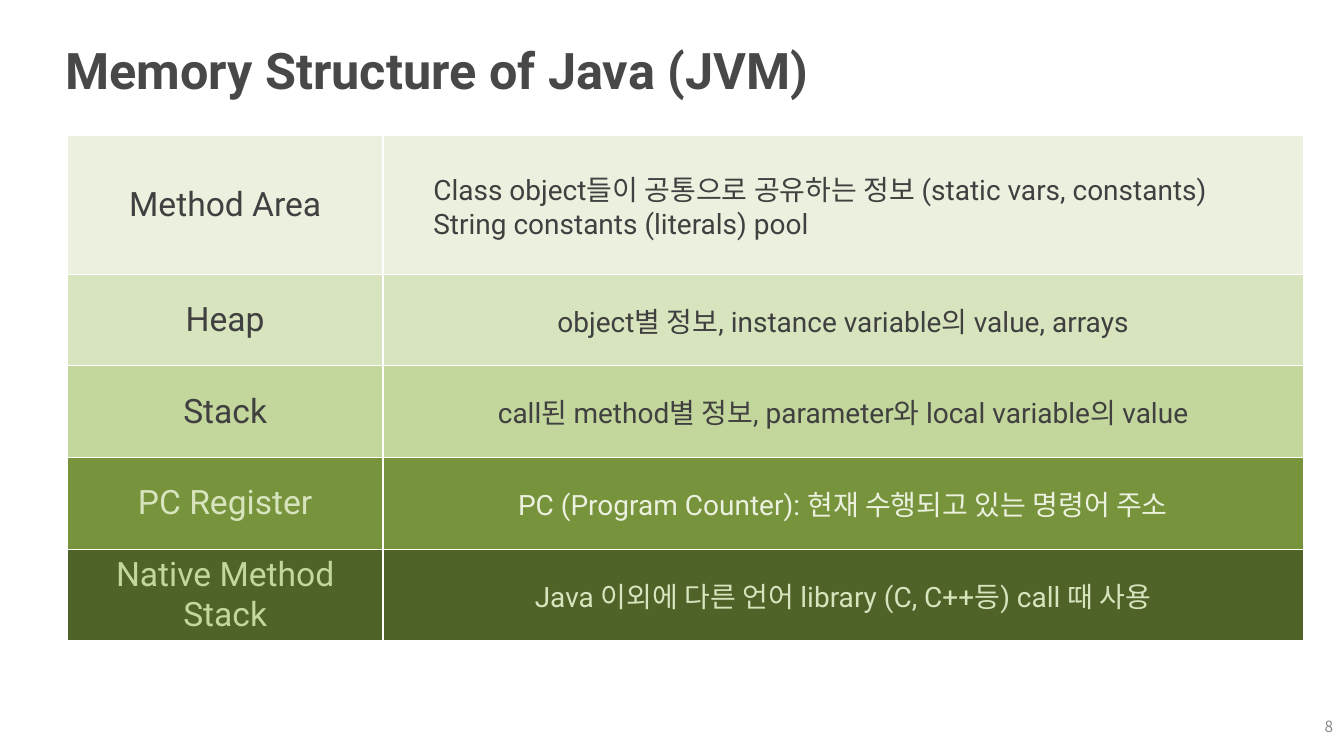
from dataclasses import dataclass

from lxml.etree import SubElement
from pptx import Presentation
from pptx.dml.color import RGBColor
from pptx.enum.text import MSO_ANCHOR, PP_ALIGN
from pptx.oxml.ns import qn
from pptx.util import Cm, Pt


@dataclass(frozen=True)
class Theme:
    latin: str = "Roboto"
    korean: str = "Noto Sans CJK KR"
    title: str = "484848"
    page: str = "888888"
    dark: str = "404040"
    white: str = "FFFFFF"
    # Greens from palest to deepest
    mist: str = "EBF1DE"
    pale: str = "D7E4BD"
    light: str = "C3D69B"
    mid: str = "77933C"
    deep: str = "4F6228"
    title_size: int = 36
    area_size: int = 24
    detail_size: int = 20
    page_size: int = 11
    border: int = 1


THEME = Theme()

# Area, description, fill, area colour, description colour
MEMORY_AREAS = [
    ("Method Area",
     "Class object들이 공통으로 공유하는 정보 (static vars, constants)\n"
     "String constants (literals) pool",
     THEME.mist, THEME.dark, THEME.dark),
    ("Heap", "object별 정보, instance variable의 value, arrays",
     THEME.pale, THEME.dark, THEME.dark),
    ("Stack", "call된 method별 정보, parameter와 local variable의 value",
     THEME.light, THEME.dark, THEME.dark),
    ("PC Register", "PC (Program Counter): 현재 수행되고 있는 명령어 주소",
     THEME.mid, THEME.pale, THEME.mist),
    ("Native Method\nStack", "Java 이외에 다른 언어 library (C, C++등) call 때 사용",
     THEME.deep, THEME.light, THEME.pale),
]


def write(frame, text, size, color, align, latin=THEME.latin, bold=False):
    frame.text = text
    for paragraph in frame.paragraphs:
        paragraph.alignment = align
        for run in paragraph.runs:
            font = run.font
            font.size, font.bold, font.name = Pt(size), bold, latin
            font.color.rgb = RGBColor.from_string(color)
            east_asian = SubElement(run._r.get_or_add_rPr(), qn("a:ea"))
            east_asian.set("typeface", THEME.korean)


def set_margins(holder, margin):
    holder.margin_left = holder.margin_right = margin
    holder.margin_top = holder.margin_bottom = margin


def add_label(slide, box, text, size, color, align, wrap=True, **style):
    frame = slide.shapes.add_textbox(*box).text_frame
    frame.word_wrap = wrap
    frame.vertical_anchor = MSO_ANCHOR.MIDDLE
    set_margins(frame, Cm(0.13))
    write(frame, text, size, color, align, **style)


def style_cell(cell, fill):
    set_margins(cell, 0)
    cell.vertical_anchor = MSO_ANCHOR.MIDDLE
    properties = cell._tc.get_or_add_tcPr()
    for side in ("lnL", "lnR", "lnT", "lnB"):
        line = SubElement(properties, qn(f"a:{side}"), w=str(Pt(THEME.border)))
        solid = SubElement(line, qn("a:solidFill"))
        SubElement(solid, qn("a:srgbClr"), val=THEME.white)
    cell.fill.solid()
    cell.fill.fore_color.rgb = RGBColor.from_string(fill)


def add_memory_table(slide, box):
    left, top, width, height = box
    table = slide.shapes.add_table(len(MEMORY_AREAS), 2, left, top, width, height).table
    table.first_row = table.horz_banding = False

    # The first row is taller; the others share the rest evenly
    area_width, first_height = Cm(7.95), Cm(3.51)
    table.columns[0].width = area_width
    table.columns[1].width = width - area_width
    for index, row in enumerate(table.rows):
        row.height = first_height if index == 0 else (height - first_height) // (len(MEMORY_AREAS) - 1)

    for index, (area, detail, fill, area_color, detail_color) in enumerate(MEMORY_AREAS):
        area_cell, detail_cell = table.cell(index, 0), table.cell(index, 1)
        style_cell(area_cell, fill)
        style_cell(detail_cell, fill)
        write(area_cell.text_frame, area, THEME.area_size, area_color, PP_ALIGN.CENTER)
        multiline = "\n" in detail
        if multiline:
            detail_cell.margin_left = Cm(1.27)
        write(detail_cell.text_frame, detail, THEME.detail_size, detail_color,
              PP_ALIGN.LEFT if multiline else PP_ALIGN.CENTER)


def main():
    deck = Presentation()
    deck.slide_width, deck.slide_height = Cm(33.87), Cm(19.05)
    slide = deck.slides.add_slide(deck.slide_layouts[6])

    # Title
    add_label(slide, (Cm(1.52), Cm(0.74), Cm(30.68), Cm(2.01)),
              "Memory Structure of Java (JVM)", THEME.title_size, THEME.title,
              PP_ALIGN.LEFT, bold=True)
    # Memory areas
    add_memory_table(slide, (Cm(1.7), Cm(3.4), Cm(31.14), Cm(12.75)))
    # Page number
    add_label(slide, (Cm(33.2), Cm(17.98), Cm(0.53), Cm(0.66)), "8",
              THEME.page_size, THEME.page, PP_ALIGN.RIGHT, wrap=False, latin=THEME.korean)

    deck.save("out.pptx")


if __name__ == "__main__":
    main()
